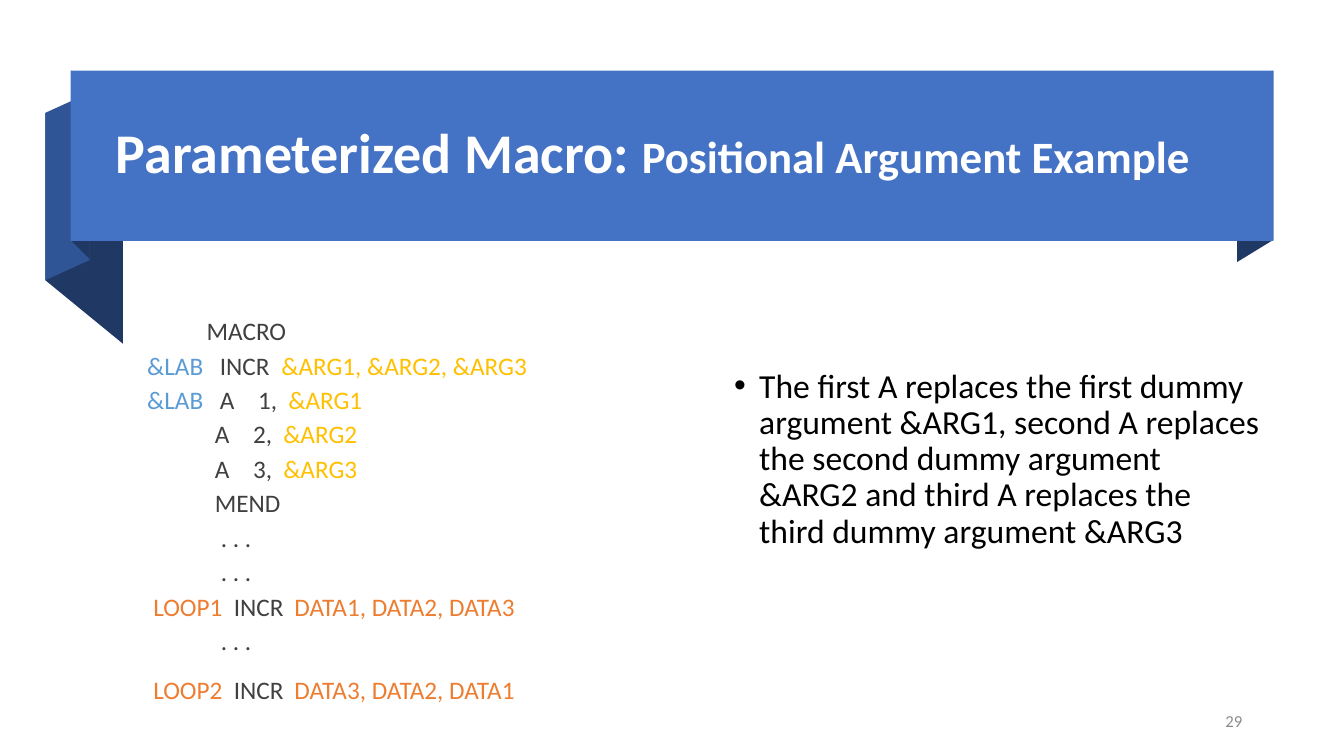
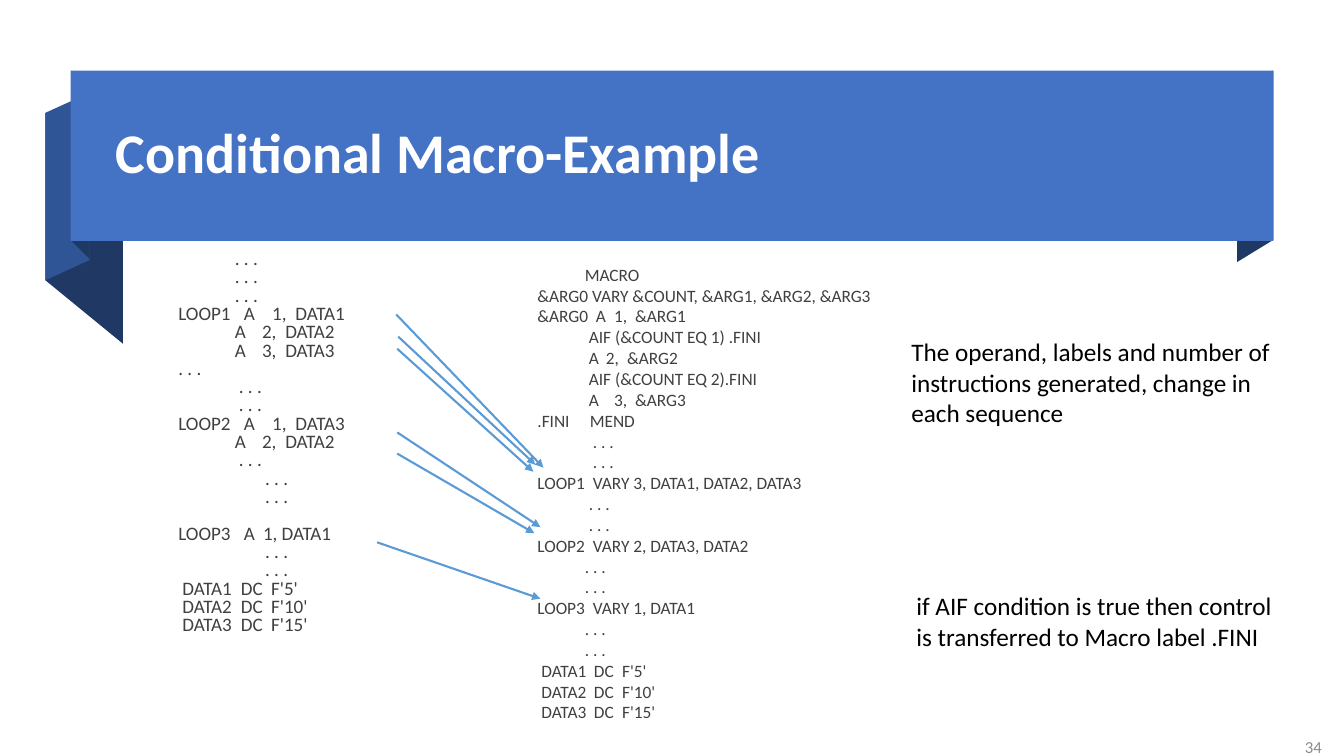
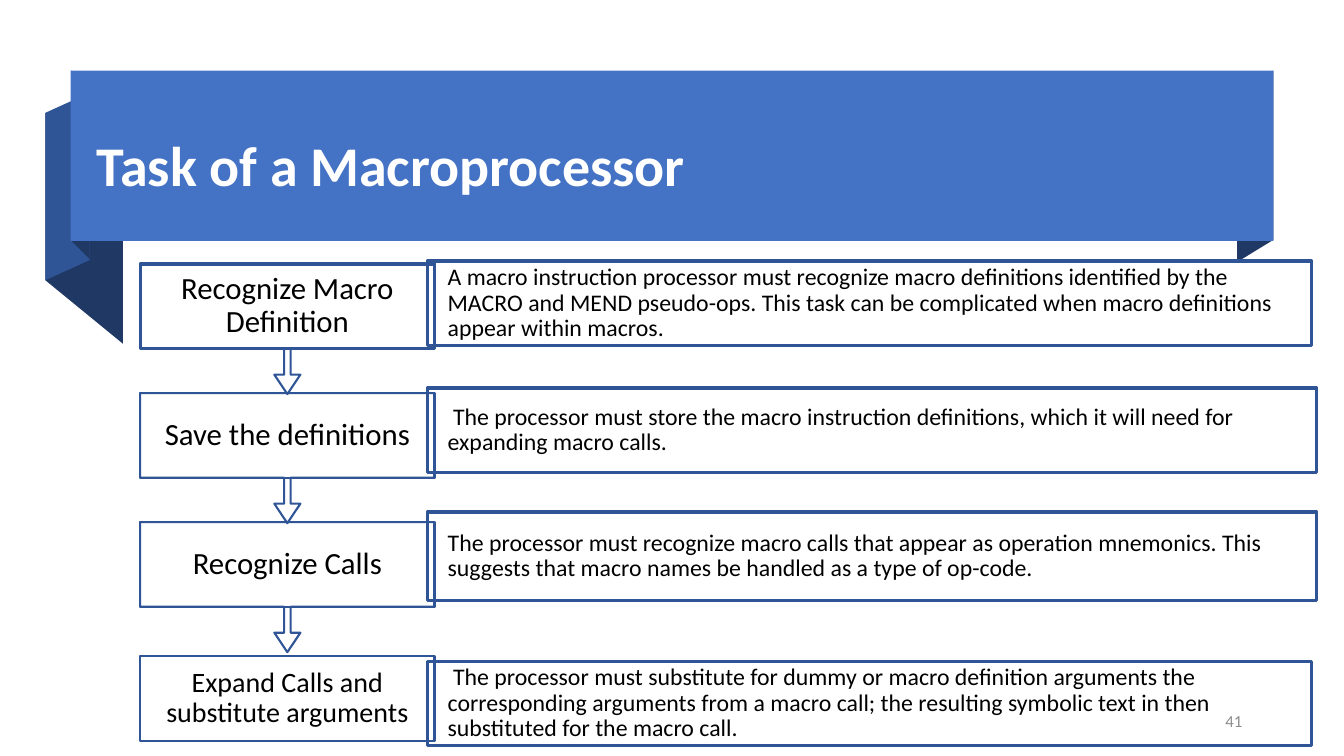
from dataclasses import dataclass

from lxml import etree
from pptx import Presentation
from pptx import util as u
from pptx.dml.color import RGBColor
from pptx.enum import shapes, text
from pptx.oxml.ns import qn


@dataclass(frozen=True)
class Theme:
    font: str = "Calibri"
    band: str = "4472C4"
    fold: str = "2F5597"
    shade: str = "203864"
    white: str = "FFFFFF"
    black: str = "000000"
    code: str = "404040"
    muted: str = "8C8C8C"
    label: str = "5B9BD5"
    dummy: str = "FFC000"
    actual: str = "ED7D31"
    title_size: float = 40
    subtitle_size: float = 32
    body_size: float = 24
    step_size: float = 22
    note_size: float = 18
    detail_size: float = 17
    number_size: float = 12


T = Theme()
LEFT, CENTER, RIGHT = text.PP_ALIGN.LEFT, text.PP_ALIGN.CENTER, text.PP_ALIGN.RIGHT
TINTS = {"&LAB": T.label, "&ARG": T.dummy, "LOOP": T.actual, "DATA": T.actual}
FOLDS = [
    (T.shade, [(1.22, 3.41), (0.45, 2.78), (0.45, 1.12), (1.22, 1.75)]),
    (T.fold, [(0.89, 2.58), (0.45, 2.78), (0.45, 1.12), (0.89, 0.92)]),
    (T.shade, [(0.89, 2.57), (0.71, 2.39), (0.71, 0.7), (0.89, 0.89)]),
    (T.shade, [(12.63, 2.38), (12.27, 2.6), (12.27, 0.91), (12.63, 0.7)]),
]


def rgb(value):
    return RGBColor.from_string(value)


class Deck:
    """The presentation, its style and the slide being filled."""

    def __init__(self):
        self.prs = Presentation()
        self.prs.slide_width, self.prs.slide_height = u.Inches(13.33), u.Inches(7.5)
        self.s = None

    def new_slide(self, title, number, subtitle="", title_at=(1.05, 0.88),
                  number_at=(9.42, 6.95), has_body=False):
        self.s = self.prs.slides.add_slide(self.prs.slide_layouts[1 if has_body else 5])
        self.ribbon()
        for ph in self.s.placeholders:
            self.s.shapes._spTree.append(ph._element)  # lift above the ribbon
        sp = self.s.shapes.title
        self.place(sp, (*title_at, 11.56, 1.33))
        p = self.frame(sp).paragraphs[0]
        p.line_spacing, p.alignment = 0.9, LEFT
        self.run(p, title, T.title_size, T.white, True)
        if subtitle:
            self.run(p, subtitle, T.subtitle_size, T.white, True)
        self.textbox((*number_at, 3, 0.4), number, T.number_size, T.muted, RIGHT,
                     text.MSO_ANCHOR.MIDDLE)

    def ribbon(self):
        for colour, corners in FOLDS:
            points = [(u.Inches(x), u.Inches(y)) for x, y in corners]
            outline = self.s.shapes.build_freeform(*points[0])
            outline.add_line_segments(points[1:], close=True)
            self.paint(outline.convert_to_shape(), fill=colour)
        self.shape("RECTANGLE", (0.7, 0.7, 11.93, 1.69), fill=T.band)

    def place(self, sp, at):
        sp.left, sp.top, sp.width, sp.height = map(u.Inches, at)

    def paint(self, sp, fill=None, line=None, width=1.5):
        sp.shadow.inherit = False
        if fill:
            sp.fill.solid()
            sp.fill.fore_color.rgb = rgb(fill)
        else:
            sp.fill.background()
        if line:
            sp.line.color.rgb = rgb(line)
            sp.line.width = u.Pt(width)
        else:
            sp.line.fill.background()

    def frame(self, sp, anchor=text.MSO_ANCHOR.MIDDLE, insets=(0.1, 0.05)):
        tf = sp.text_frame
        tf.word_wrap, tf.auto_size = True, text.MSO_AUTO_SIZE.NONE
        tf.vertical_anchor = anchor
        tf.margin_left = tf.margin_right = u.Inches(insets[0])
        tf.margin_top = tf.margin_bottom = u.Inches(insets[1])
        return tf

    def run(self, p, words, size, colour, bold=False):
        r = p.add_run()
        r.text = words
        r.font.name, r.font.size, r.font.bold = T.font, u.Pt(size), bold
        r.font.color.rgb = rgb(colour)

    def shape(self, preset, at, **paint):
        sp = self.s.shapes.add_shape(shapes.MSO_SHAPE[preset], *map(u.Inches, at))
        self.paint(sp, **paint)
        return sp

    def textbox(self, at, words, size, colour=T.black, align=LEFT,
                anchor=text.MSO_ANCHOR.TOP):
        p = self.frame(self.s.shapes.add_textbox(*map(u.Inches, at)), anchor).paragraphs[0]
        p.alignment = align
        self.run(p, words, size, colour)

    def panel(self, at, words, size, insets, align=LEFT, width=2.25):
        sp = self.shape("RECTANGLE", at, line=T.fold, width=width)
        p = self.frame(sp, insets=insets).paragraphs[0]
        p.alignment, p.line_spacing = align, 0.9
        self.run(p, words, size, T.black)

    def bullets(self, at, items):
        sp = self.s.placeholders[1]
        self.place(sp, at)
        tf = self.frame(sp)
        for i, item in enumerate(items):
            p = tf.add_paragraph() if i else tf.paragraphs[0]
            p.line_spacing, p.space_before = 0.9, u.Pt(10)
            pPr = p._p.get_or_add_pPr()
            pPr.set("marL", str(u.Inches(0.25)))
            pPr.set("indent", str(-u.Inches(0.25)))
            etree.SubElement(pPr, qn("a:buChar"), char="•")
            self.run(p, item, T.body_size, T.black)

    def code(self, at, lines, size, spacing=1.0, after=0, tints=None):
        """Each line is (tab stops, cells split by |, optional space before)."""
        box = self.s.shapes.add_textbox(*map(u.Inches, at))
        tf = self.frame(box, text.MSO_ANCHOR.TOP, (0, 0.05))
        for i, (stops, cells, *before) in enumerate(lines):
            p = tf.add_paragraph() if i else tf.paragraphs[0]
            p.line_spacing, p.space_after = spacing, u.Pt(after)
            p.space_before = u.Pt(sum(before))
            tabs = etree.SubElement(p._p.get_or_add_pPr(), qn("a:tabLst"))
            for stop, cell in zip(stops, cells.split("|")):
                etree.SubElement(tabs, qn("a:tab"), pos=str(u.Inches(stop)), algn="l")
                self.run(p, "\t" + cell, size, (tints or {}).get(cell[:4], T.code))

    def arrow(self, start, end):
        line = self.s.shapes.add_connector(
            shapes.MSO_CONNECTOR.STRAIGHT, *map(u.Inches, (*start, *end)))
        line.line.color.rgb, line.line.width = rgb(T.label), u.Pt(1.5)
        spPr = line._element.spPr
        etree.SubElement(spPr.find(qn("a:ln")), qn("a:tailEnd"), type="triangle")
        etree.SubElement(spPr, qn("a:effectLst"))


def positional_slide(d):
    d.new_slide("Parameterized Macro: ", "29", "Positional Argument Example", has_body=True)
    d.bullets((7.18, 2.63, 5.42, 3.86), [
        "The first A replaces the first dummy argument &ARG1, second A replaces the second "
        "dummy argument &ARG2 and third A replaces the third dummy argument &ARG3"])
    body, dots, call = (0.73, 1.11, 1.41), (0.79,), (0.12, 0.92, 1.52)
    d.code((1.4, 3.08, 5.99, 4.42), [
        ((0.65,), "MACRO"),
        ((0.06, 0.78, 1.39), "&LAB|INCR|&ARG1, &ARG2, &ARG3"),
        ((0.06, 0.78, 1.16, 1.46), "&LAB|A|1,|&ARG1"),
        (body, "A|2,|&ARG2"),
        (body, "A|3,|&ARG3"),
        (body, "MEND"),
        (dots, ". . ."),
        (dots, ". . ."),
        (call, "LOOP1|INCR|DATA1, DATA2, DATA3"),
        (dots, ". . ."),
        (call, "LOOP2|INCR|DATA3, DATA2, DATA1", 10),
    ], 18, after=3, tints=TINTS)


def conditional_slide(d):
    d.new_slide("Conditional Macro-Example", "34", number_at=(10.21, 7.21))
    d.textbox((8.94, 3.29, 3.95, 1.01), "The operand, labels and number of instructions "
              "generated, change in each sequence", T.note_size)

    def data(stops):
        return [(stops, f"DATA{i}|DC|F'{5 * i}'") for i in (1, 2, 3)]

    def dots(x, count=2):
        return [((x,), ". . .")] * count

    first, following = (0.04, 0.69, 0.97, 1.2), (0.6, 0.87, 1.1)
    d.code((1.73, 2.44, 2.23, 4.18), [
        *dots(0.6, 3),
        (first, "LOOP1|A|1,|DATA1"),
        (following, "A|2,|DATA2"),
        (following, "A|3,|DATA3"),
        *dots(0.04, 1),
        *dots(0.64),
        (first, "LOOP2|A|1,|DATA3"),
        (following, "A|2,|DATA2"),
        *dots(0.64, 1),
        *dots(0.9),
        ((0.04, 0.69, 0.88), "LOOP3|A|1, DATA1", 13.3),
        *dots(0.9),
        *data((0.08, 0.66, 0.96)),
    ], 13.6, spacing=0.8)

    label, inner, call = (0.04, 0.62, 0.8, 1.01), (0.55, 0.72, 0.93), (0.04, 0.59)
    d.code((5.29, 2.61, 7.22, 4.92), [
        ((0.51,), "MACRO"),
        (label, "&ARG0 VARY &COUNT, &ARG1, &ARG2, &ARG3"),
        (label, "&ARG0|A|1,|&ARG1"),
        (inner, "AIF (&COUNT EQ 1) .FINI"),
        (inner, "A|2,|&ARG2"),
        (inner, "AIF (&COUNT EQ 2).FINI"),
        ((0.55, 0.8, 1.01), "A|3,|&ARG3"),
        ((0.04, 0.56), ".FINI|MEND"),
        *dots(0.59),
        (call, "LOOP1|VARY 3, DATA1, DATA2, DATA3"),
        *dots(0.55),
        (call, "LOOP2|VARY 2, DATA3, DATA2"),
        *dots(0.51),
        (call, "LOOP3|VARY 1, DATA1"),
        *dots(0.51),
        *data((0.08, 0.6, 0.88)),
    ], 12.4, spacing=0.8, after=3)

    for start, end in [
        ((3.93, 3.12), (5.39, 4.64)),
        ((3.95, 3.34), (5.31, 4.61)),
        ((3.94, 3.46), (5.29, 4.68)),
        ((3.94, 4.29), (5.36, 5.23)),
        ((3.74, 5.38), (5.36, 5.94)),
        ((3.94, 4.5), (5.3, 5.29)),
    ]:
        d.arrow(start, end)
    d.textbox((8.99, 5.81, 3.89, 0.71), "if AIF condition is true then control is "
              "transferred to Macro label .FINI", T.note_size)


def task_slide(d):
    d.new_slide("Task of a Macroprocessor", "41", title_at=(0.86, 1.01))
    steps = [  # top, label, size, line width
        (6.51, "Expand Calls and substitute arguments", 20, 1.5),
        (5.18, "Recognize Calls", T.step_size, 1.5),
        (3.9, "Save the definitions", T.step_size, 1.5),
        (2.62, "Recognize Macro Definition", T.step_size, 2.25),
    ]
    for i, (top, label, size, width) in enumerate(steps):
        if i:
            callout = d.shape("UP_ARROW_CALLOUT", (1.39, top, 2.92, 1.29), line=T.fold)
            callout.rotation = 180
            for k, value in enumerate((0.05, 0.1, 0.15, 0.65)):
                callout.adjustments[k] = value
        d.panel((1.39, top, 2.92, 0.84), label, size, (0.23, 0.17), CENTER, width)
    for top, width, height, words in [
        (6.56, 8.77, 0.84, " The processor must substitute for dummy or macro definition "
         "arguments the corresponding arguments from a macro call; the resulting symbolic "
         "text in then substituted for the macro call."),
        (5.08, 8.82, 0.88, "The processor must recognize macro calls that appear as operation "
         "mnemonics. This suggests that macro names be handled as a type of op-code."),
        (3.85, 8.82, 0.84, " The processor must store the macro instruction definitions, "
         "which it will need for expanding macro calls."),
        (2.59, 8.77, 0.84, "A macro instruction processor must recognize macro definitions "
         "identified by the MACRO and MEND pseudo-ops. This task can be complicated when "
         "macro definitions appear within macros."),
    ]:
        d.panel((4.24, top, width, height), words, T.detail_size, (0.2, 0.24))


def main():
    d = Deck()
    positional_slide(d)
    conditional_slide(d)
    task_slide(d)
    d.prs.save("out.pptx")


if __name__ == "__main__":
    main()
